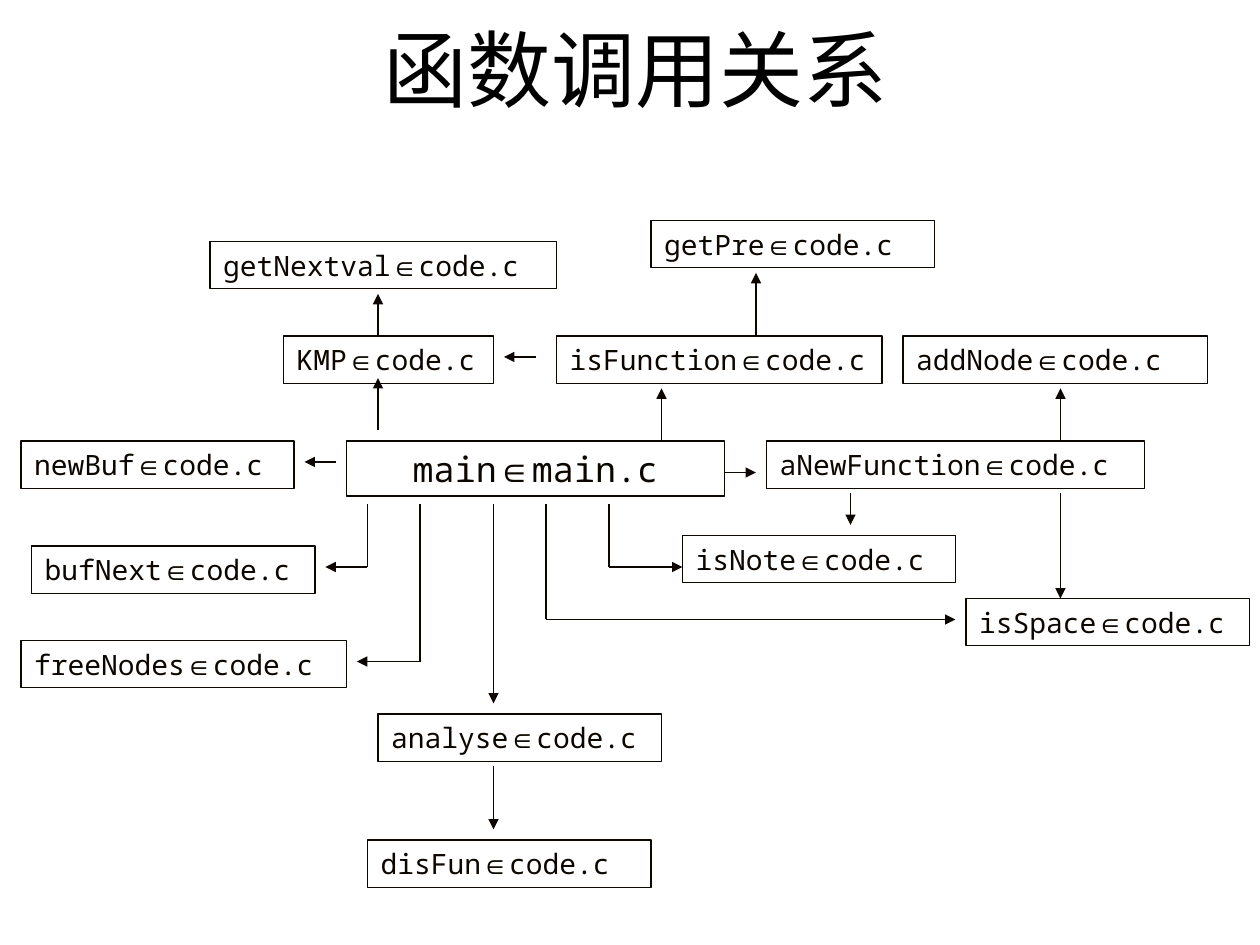
import pptx
import pptx.util
import pptx.dml.color
import pptx.enum.shapes
import pptx.enum.text
import pptx.oxml.ns
import lxml.etree

PX = 9525  # EMU per px, 96 px to the inch
COLORS = {"title": "000000", "ink": "0C0600"}
MONO, SYMBOL, CJK = "Noto Sans Mono", "Arial", "Noto Sans CJK KR"
ALIGN = pptx.enum.text.PP_ALIGN


def px(*values):
    return [pptx.util.Emu(v * PX) for v in values]


def rgb(name):
    return pptx.dml.color.RGBColor.from_string(COLORS[name])


class CallGraph:
    """Style and current slide of a call diagram."""

    def __init__(self, slide):
        self.s = slide
        self.frame = {
            "margin_left": px(10)[0], "margin_right": px(10)[0],
            "margin_top": px(5)[0], "margin_bottom": px(5)[0],
            "word_wrap": True,
        }

    def format_frame(self, tf, **extra):
        for key, value in {**self.frame, **extra}.items():
            setattr(tf, key, value)

    def run(self, p, text, font, size, color):
        r = p.add_run()
        r.text = text
        values = {"name": font, "size": pptx.util.Pt(size), "bold": False}
        for key, value in values.items():
            setattr(r.font, key, value)
        r.font.color.rgb = rgb(color)
        for tag in ("a:ea", "a:cs"):
            lxml.etree.SubElement(r.font._element, pptx.oxml.ns.qn(tag), typeface=font)

    def outline(self, line):
        line.color.rgb = rgb("ink")
        line.width = pptx.util.Pt(0.75)

    def title(self, text, x, y, w, h):
        sp = self.s.shapes.title
        sp.left, sp.top, sp.width, sp.height = px(x, y, w, h)
        self.format_frame(sp.text_frame, vertical_anchor=pptx.enum.text.MSO_ANCHOR.MIDDLE,
                          auto_size=pptx.enum.text.MSO_AUTO_SIZE.NONE)
        p = sp.text_frame.paragraphs[0]
        p.alignment = ALIGN.CENTER
        self.run(p, text, CJK, 48, "title")

    def box(self, function, x, y, w, h=36, file="code.c", size=16, align=ALIGN.LEFT):
        sp = self.s.shapes.add_shape(pptx.enum.shapes.MSO_SHAPE.RECTANGLE, *px(x, y, w, h))
        sp.shadow.inherit = False
        sp.fill.background()
        self.outline(sp.line)
        self.format_frame(sp.text_frame, vertical_anchor=pptx.enum.text.MSO_ANCHOR.TOP,
                          auto_size=pptx.enum.text.MSO_AUTO_SIZE.SHAPE_TO_FIT_TEXT)
        p = sp.text_frame.paragraphs[0]
        p.alignment = align
        for text, font in ((function, MONO), ("∈", SYMBOL), (file, MONO)):
            self.run(p, text, font, size, "ink")

    def arrow(self, *points):
        """Straight segments through the points, with a head at the last one."""
        for start, end in zip(points, points[1:]):
            c = self.s.shapes.add_connector(
                pptx.enum.shapes.MSO_CONNECTOR.STRAIGHT, *px(*start, *end))
            self.outline(c.line)
            sp_pr = c._element.spPr
            lxml.etree.SubElement(sp_pr, pptx.oxml.ns.qn("a:effectLst"))
        ln = sp_pr.find(pptx.oxml.ns.qn("a:ln"))
        lxml.etree.SubElement(ln, pptx.oxml.ns.qn("a:tailEnd"), type="triangle")


# Function, left, top, width
BOXES = [
    ("newBuf", 16, 336, 208),
    ("isFunction", 424, 256, 248),
    ("freeNodes", 16, 488, 248),
    ("getNextval", 160, 184, 264),
    ("KMP", 216, 256, 160),
    ("bufNext", 24, 416, 216),
    ("isSpace", 736, 456, 216),
    ("isNote", 520, 408, 208),
    ("addNode", 688, 256, 232),
    ("aNewFunction", 584, 336, 288),
    ("getPre", 496, 168, 216),
    ("disFun", 280, 640, 216),
    ("analyse", 288, 544, 216),
]

ARROWS = [
    # From main
    [(288, 328), (288, 288)],
    [(256, 352), (232, 352)],
    [(504, 336), (504, 296)],
    [(552, 360), (576, 360)],
    [(464, 384), (464, 432), (520, 432)],
    [(416, 384), (416, 472), (728, 472)],
    [(280, 384), (280, 432), (248, 432)],
    [(320, 384), (320, 504), (272, 504)],
    [(376, 384), (376, 536)],
    # From KMP and isFunction
    [(288, 256), (288, 224)],
    [(408, 272), (384, 272)],
    [(576, 256), (576, 208)],
    # From aNewFunction
    [(808, 336), (808, 296)],
    [(648, 376), (648, 400)],
    [(808, 376), (808, 456)],
    # From analyse
    [(376, 584), (376, 632)],
]


def main():
    prs = pptx.Presentation()
    prs.slide_width, prs.slide_height = px(960, 720)
    graph = CallGraph(prs.slides.add_slide(prs.slide_layouts[5]))

    # Title
    graph.title("函数调用关系", 56, 0, 856, 104)

    # Functions
    graph.box("main", 264, 336, 288, 42, file="main.c", size=20, align=ALIGN.CENTER)
    for box in BOXES:
        graph.box(*box)

    # Calls
    for points in ARROWS:
        graph.arrow(*points)

    prs.save("out.pptx")


if __name__ == "__main__":
    main()
